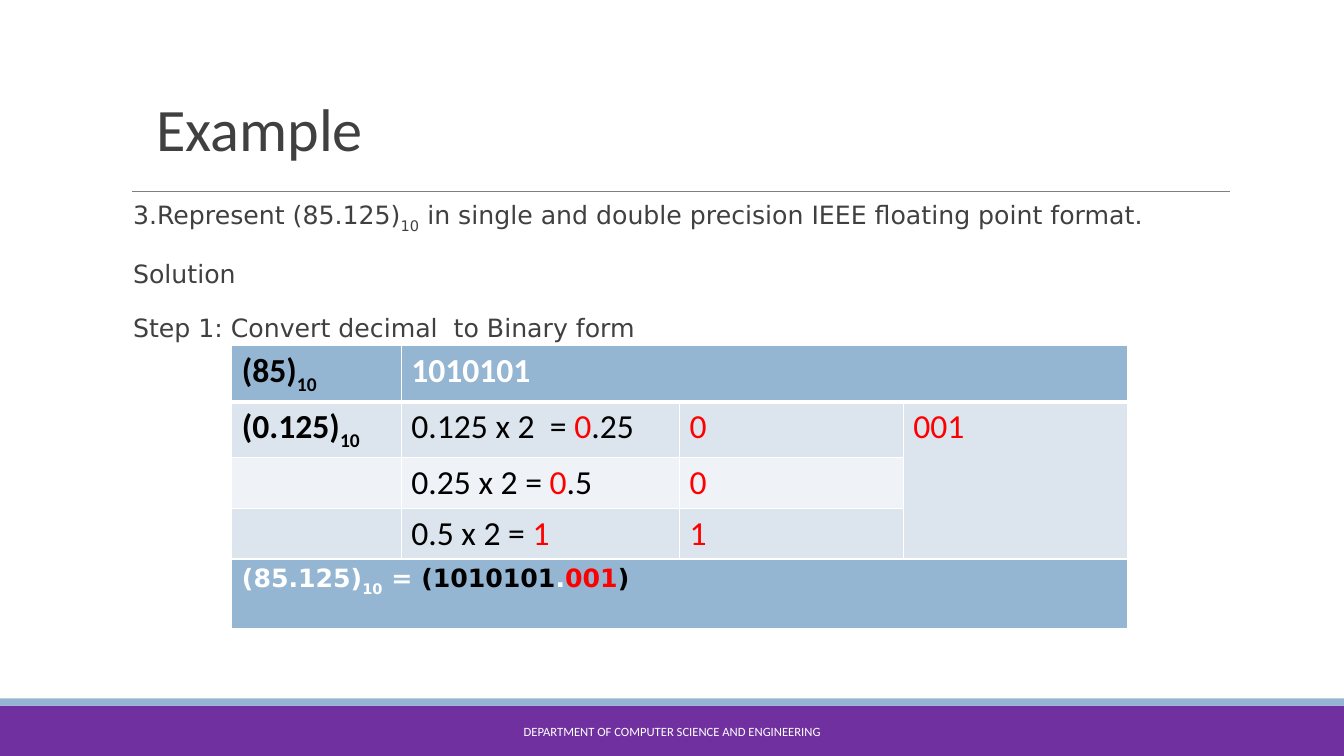
from lxml import etree
from pptx import Presentation
from pptx.dml.color import RGBColor
from pptx.enum.shapes import MSO_CONNECTOR, MSO_SHAPE
from pptx.enum.text import MSO_ANCHOR, MSO_AUTO_SIZE, PP_ALIGN
from pptx.oxml.ns import qn
from pptx.util import Inches, Pt

STRAIGHT, RECTANGLE = MSO_CONNECTOR.STRAIGHT, MSO_SHAPE.RECTANGLE
BOTTOM, MIDDLE = MSO_ANCHOR.BOTTOM, MSO_ANCHOR.MIDDLE
LEFT, CENTER, JUSTIFY = PP_ALIGN.LEFT, PP_ALIGN.CENTER, PP_ALIGN.JUSTIFY
NO_FIT = MSO_AUTO_SIZE.NONE

PURPLE = RGBColor(0x70, 0x30, 0xA0)
BLUE = RGBColor(0x94, 0xB6, 0xD2)
BAND = RGBColor(0xDC, 0xE5, 0xEE)
PALE = RGBColor(0xEF, 0xF3, 0xF7)
DARK = RGBColor(0x40, 0x40, 0x40)
GRAY = RGBColor(0x7F, 0x7F, 0x7F)
BLACK = RGBColor(0, 0, 0)
WHITE = RGBColor(0xFF, 0xFF, 0xFF)
RED = RGBColor(0xFF, 0, 0)


def write(para, spans, name, size, bold=False):
    for text, color, *subscript in spans:
        span = para.add_run()
        span.text = text
        for key, value in {"name": name, "size": Pt(size), "bold": bold}.items():
            setattr(span.font, key, value)
        span.font.color.rgb = color
        if subscript:
            span.font._element.set("baseline", "-25000")


def style_cell(cell, fill, top, bottom):
    properties = cell._tc.get_or_add_tcPr()
    for side, width in {"lnL": 1, "lnR": 1, "lnT": top, "lnB": bottom}.items():
        border = etree.SubElement(properties, qn(f"a:{side}"), w=str(Pt(width)))
        solid = etree.SubElement(border, qn("a:solidFill"))
        etree.SubElement(solid, qn("a:srgbClr"), val=str(WHITE))
    cell.fill.solid()
    cell.fill.fore_color.rgb = fill


deck = Presentation()
deck.slide_width, deck.slide_height = Inches(13.33), Inches(7.5)
page = deck.slides.add_slide(deck.slide_layouts[5])

for top, height, color in ((7, 0.5, PURPLE), (6.93, 0.07, BLUE)):
    bar = page.shapes.add_shape(RECTANGLE, 0, Inches(top), deck.slide_width, Inches(height))
    bar.shadow.inherit = False
    bar.fill.solid()
    bar.fill.fore_color.rgb = color
    bar.line.fill.background()

rule = page.shapes.add_connector(STRAIGHT, Inches(1.31), Inches(1.9), Inches(12.2), Inches(1.9))
rule.line.color.rgb = GRAY
rule.line.width = Pt(0.75)
etree.SubElement(rule._element.spPr, qn("a:effectLst"))

title = page.shapes.title
place = {"left": 1.45, "top": 0.59, "width": 9.92, "height": 1.08}
for key, value in place.items():
    setattr(title, key, Inches(value))
title.text_frame.auto_size = NO_FIT
title.text_frame.vertical_anchor = BOTTOM
heading = title.text_frame.paragraphs[0]
heading.alignment = LEFT
heading.line_spacing = 0.85
write(heading, [("Example", DARK)], "Calibri", 43)

body = page.shapes.add_textbox(Inches(1.32), Inches(1.88), Inches(11.04), Inches(4.92)).text_frame
body.word_wrap = True
body.margin_left = body.margin_right = 0
body_lines = [
    [("3.Represent (85.125)", DARK), ("10", DARK, True),
     (" in single and double precision IEEE floating point format.", DARK)],
    [("Solution", DARK)],
    [("Step 1: Convert decimal  to Binary form", DARK)],
]
for index, spans in enumerate(body_lines):
    para = body.add_paragraph() if index else body.paragraphs[0]
    para.alignment = JUSTIFY
    para.line_spacing = 1.15
    para.space_before = Pt(14 if index else 0)
    write(para, spans, "DejaVu Sans", 18)

footer = page.shapes.add_textbox(Inches(4.03), Inches(7.06), Inches(5.27), Inches(0.4)).text_frame
footer.word_wrap = True
footer.vertical_anchor = MIDDLE
footer.paragraphs[0].alignment = CENTER
write(footer.paragraphs[0], [("DEPARTMENT OF COMPUTER SCIENCE AND ENGINEERING", WHITE)], "Calibri", 9)

column_widths = [1.68, 2.76, 2.22, 2.22]
row_fills = [BLUE, BAND, PALE, BAND]
conversion_rows = [
    [[("(85)", BLACK), ("10", BLACK, True)], [("1010101", WHITE)], [], []],
    [[("(0.125)", BLACK), ("10", BLACK, True)],
     [("0.125 x 2  = ", BLACK), ("0", RED), (".25", BLACK)], [("0", RED)], [("001", RED)]],
    [[], [("0.25 x 2 = ", BLACK), ("0", RED), (".5", BLACK)], [("0", RED)], []],
    [[], [("0.5 x 2 = ", BLACK), ("1", RED)], [("1", RED)], []],
]
conversion = page.shapes.add_table(
    4, 4, Inches(2.3), Inches(3.43), Inches(sum(column_widths)), Inches(2)).table
for column, width in zip(conversion.columns, column_widths):
    column.width = Inches(width)
for row, cells in enumerate(conversion_rows):
    for column, spans in enumerate(cells):
        cell = conversion.cell(row, column)
        style_cell(cell, row_fills[row], 3 if row == 1 else 1, 3 if row == 0 else 1)
        if spans:
            write(cell.text_frame.paragraphs[0], spans, "Calibri", 24, row == 0 or column == 0)
conversion.cell(0, 1).merge(conversion.cell(0, 3))
conversion.cell(1, 3).merge(conversion.cell(3, 3))

result = page.shapes.add_table(
    1, 1, Inches(2.3), Inches(5.55), Inches(sum(column_widths)), Inches(0.7)).table.cell(0, 0)
style_cell(result, BLUE, 1, 3)
result_spans = [("(85.125)", WHITE), ("10", WHITE, True), (" = ", WHITE), ("(1010101", BLACK),
                (".", WHITE), ("001", RED), (")", BLACK)]
write(result.text_frame.paragraphs[0], result_spans, "DejaVu Sans", 18, True)

deck.save("out.pptx")
